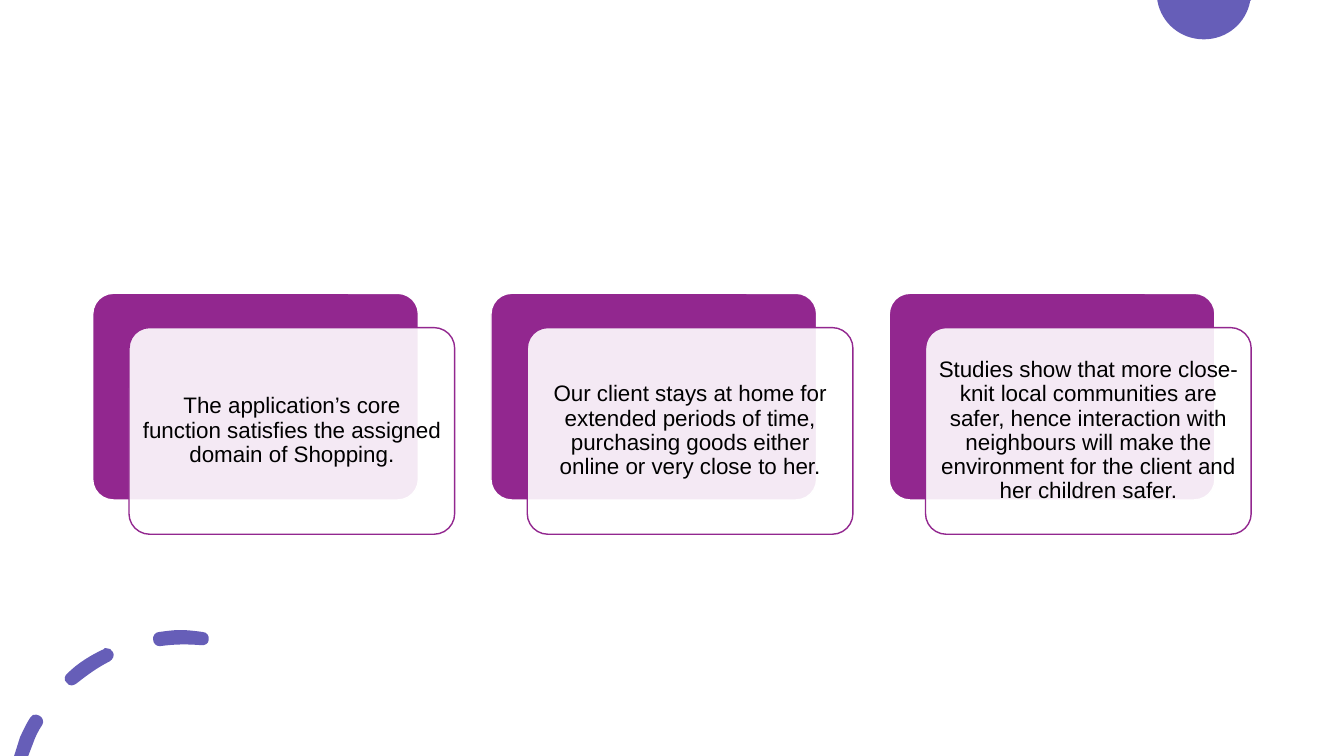
from pptx import Presentation
from pptx.dml.color import RGBColor as RGB
from pptx.enum.shapes import MSO_SHAPE as Shape
from pptx.enum.text import MSO_ANCHOR as Anchor, PP_ALIGN as Align
from pptx.oxml.ns import qn
from pptx.util import Pt
from lxml import etree

PX = 9144  # 100 px to the inch
COLORS = {"violet": "665EB8", "plum": "92278F", "white": "FFFFFF", "black": "000000"}

deck = Presentation()
deck.slide_width, deck.slide_height = 1333 * PX, 750 * PX
slide = deck.slides.add_slide(deck.slide_layouts[6])


def card(left, top, fill, line):
    box = slide.shapes.add_shape(
        Shape.ROUNDED_RECTANGLE, left * PX, top * PX, 323 * PX, 205 * PX)
    box.adjustments[0] = 0.1
    box.shadow.inherit = False
    box.fill.solid()
    box.fill.fore_color.rgb = RGB.from_string(COLORS[fill])
    box.line.color.rgb = RGB.from_string(COLORS[line])
    box.line.width = Pt(1)
    return box


# Corner ornaments: cut disc at the top, three dashes at the bottom
# Each outline is a start and its steps: two numbers a line, six a curve
disc = [((1148, 0), [(1241, 0), (1240, 1), (1236, 23, 1217, 39, 1194, 39),
                     (1171, 39, 1152, 23, 1148, 1)])]
dashes = [
    ((36, 709), [(34, 708, 31, 710, 30, 712), (26, 718, 23, 725, 20, 731),
                 (14, 750), (28, 750), (33, 737), (35, 731, 38, 725, 42, 719),
                 (44, 716, 42, 711, 39, 710), (38, 709, 37, 709, 36, 709)]),
    ((105, 643), [(104, 643, 103, 643, 103, 644), (90, 650, 77, 658, 67, 668),
                  (64, 670, 63, 675, 66, 677), (67, 679, 69, 680, 71, 680),
                  (73, 680, 74, 679, 76, 678), (86, 670, 97, 662, 109, 656),
                  (112, 654, 114, 650, 112, 647), (111, 644, 108, 643, 105, 643)]),
    ((179, 625), [(172, 625, 165, 626, 158, 627), (154, 627, 151, 631, 152, 635),
                  (152, 638, 155, 641, 158, 641), (159, 641),
                  (173, 639, 186, 639, 199, 640), (203, 641, 207, 638, 207, 635),
                  (208, 631, 205, 627, 201, 627), (194, 626, 186, 625, 179, 625)]),
]
for outlines in (disc, dashes):
    pen = slide.shapes.build_freeform(*outlines[0][0], scale=PX)
    for n, (start, steps) in enumerate(outlines):
        if n:
            pen.move_to(*start)
        points = [step[i:i + 2] for step in steps for i in range(0, len(step), 2)]
        pen.add_line_segments(points, close=True)
    mark = pen.convert_to_shape()
    mark.shadow.inherit = False
    mark.fill.solid()
    mark.fill.fore_color.rgb = RGB.from_string(COLORS["violet"])
    mark.line.fill.background()

    # Join the three points of each curve into one Bezier segment
    lines = iter(list(mark._element.iter(qn("a:lnTo"))))
    for step in [step for _, steps in outlines for step in steps]:
        trio = [next(lines) for _ in range(len(step) // 2)]
        if len(trio) == 3:
            curve = etree.Element(qn("a:cubicBezTo"))
            trio[0].addprevious(curve)
            for line in trio:
                curve.append(line[0])
                line.getparent().remove(line)

# Three reasons, each a plum card under a translucent card with text
reasons = [
    "The application’s core function satisfies the assigned domain of Shopping.",
    "Our client stays at home for extended periods of time, purchasing goods "
    "either online or very close to her.",
    "Studies show that more close-knit local communities are safer, hence "
    "interaction with neighbours will make the environment for the client "
    "and her children safer.",
]
for n, reason in enumerate(reasons):
    left = 92 + 395 * n
    card(left, 291, "plum", "white")
    front = card(left + 36, 325, "white", "plum")
    tint = front.fill._xPr.find(qn("a:solidFill"))[0]
    etree.SubElement(tint, qn("a:alpha"), val="90000")

    label = slide.shapes.add_textbox(
        (left + 42) * PX, 331 * PX, 311 * PX, 193 * PX)
    frame = label.text_frame
    frame.word_wrap = True
    frame.vertical_anchor = Anchor.MIDDLE
    frame.margin_left = frame.margin_right = 7 * PX
    frame.margin_top = frame.margin_bottom = 7 * PX
    para = frame.paragraphs[0]
    para.alignment = Align.CENTER
    para.line_spacing = 0.9
    after = etree.SubElement(para._p.get_or_add_pPr(), qn("a:spcAft"))
    etree.SubElement(after, qn("a:spcPct"), val="35000")
    run = para.add_run()
    run.text = reason
    run.font.name = "Arial"
    run.font.size = Pt(16)
    run.font.color.rgb = RGB.from_string(COLORS["black"])

deck.save("out.pptx")
